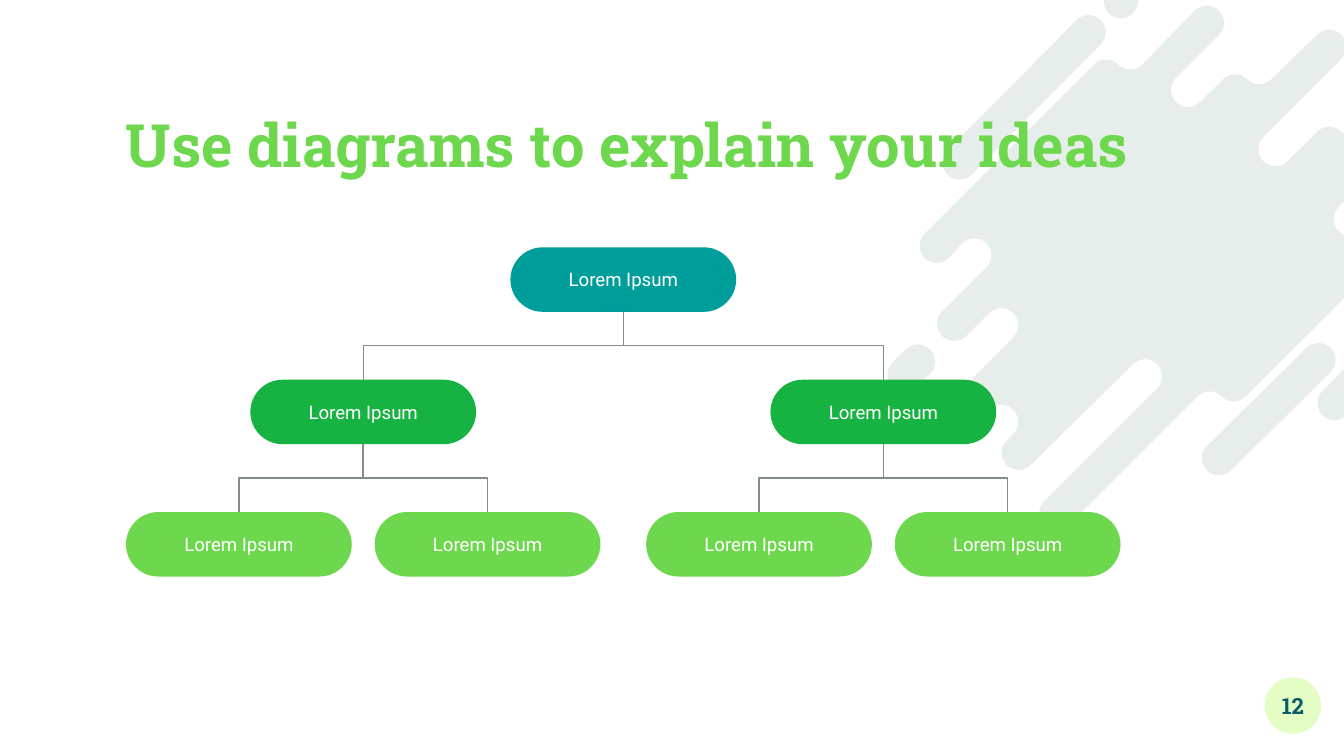
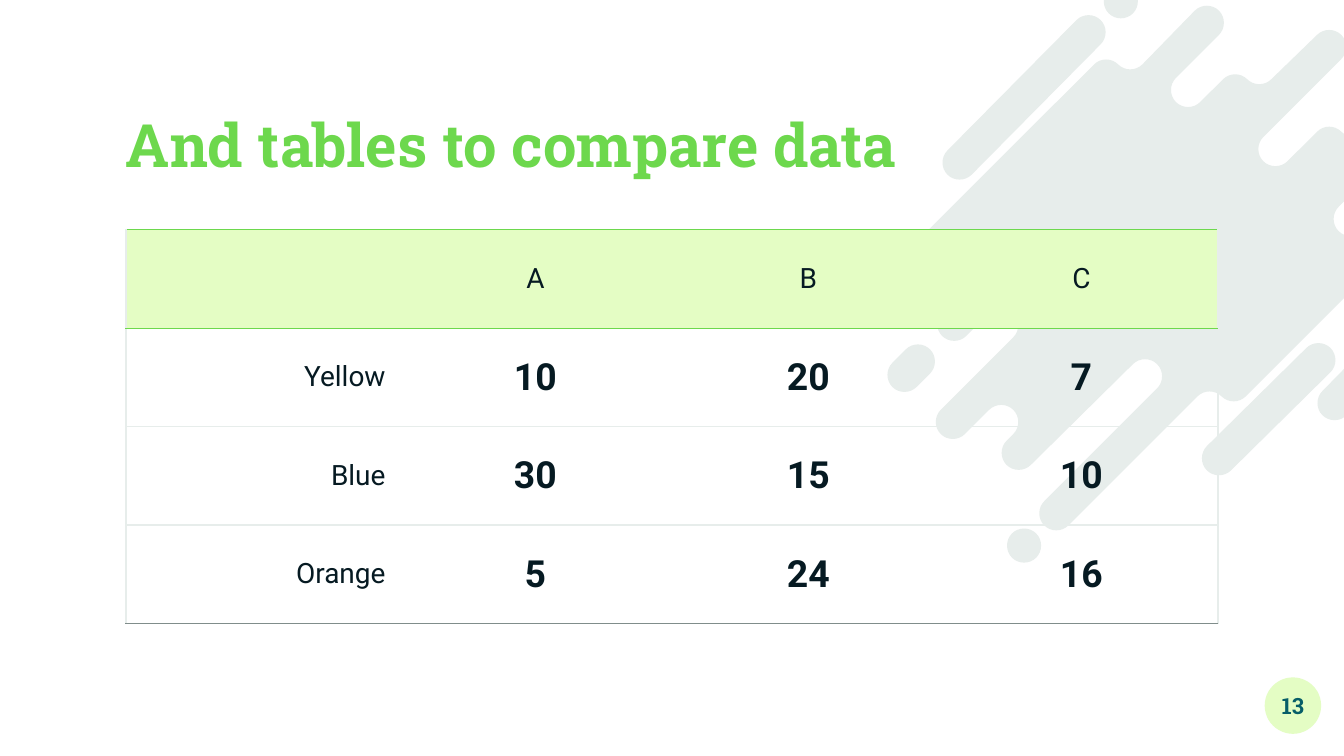
from math import cos, radians, sin

from lxml.etree import SubElement
from pptx import Presentation
from pptx.dml.color import RGBColor
from pptx.enum.shapes import MSO_CONNECTOR, MSO_SHAPE
from pptx.enum.text import MSO_ANCHOR, MSO_AUTO_SIZE, PP_ALIGN
from pptx.oxml import parse_xml
from pptx.oxml.ns import nsdecls, qn
from pptx.util import Inches, Pt

# Shared colours, fonts and grid (inches)
GREEN = RGBColor(0x6D, 0xD8, 0x4D)
DARK_GREEN = RGBColor(0x17, 0xB3, 0x42)
TEAL = RGBColor(0x00, 0x9E, 0x9A)
DEEP_TEAL = RGBColor(0x07, 0x5E, 0x68)
PALE_GREEN = RGBColor(0xE4, 0xFD, 0xC4)
MIST = RGBColor(0xE7, 0xED, 0xEB)
GREY = RGBColor(0x80, 0x8D, 0x8B)
INK = RGBColor(0x06, 0x1A, 0x22)
WHITE = RGBColor(0xFF, 0xFF, 0xFF)
HEADING_FONT, BODY_FONT = "Roboto Slab", "Roboto"
SLIDE_WIDTH, SLIDE_HEIGHT = 10, 5.625
MARGIN = SLIDE_WIDTH * 3 / 32
CONTENT_WIDTH = SLIDE_WIDTH * 13 / 16

# Splash outline: each (x, y, turns) is a straight run to a point, followed by
# quarter turns to the right (R) or left (L)
CAP_RADIUS = 0.127
UNITS = 1000  # outline units per inch
HANDLE = 0.55 * CAP_RADIUS * UNITS  # Bezier handle of a quarter circle
SPLASH_BODY = [
    (7.16, 1.81, "RR"), (7.01, 2.32, "LL"), (7.36, 2.33, "RR"), (7, 3.05, "LL"),
    (7.36, 3.05, "RR"), (7.49, 3.28, "LL"), (8.43, 2.71, "RR"), (7.77, 3.73, "LL"),
    (8.91, 2.95, "RL"), (10.52, 1.7, "LL"), (10.14, 1.72, "RR"), (10.45, 1.05, "LL"),
    (10.16, 0.98, "RL"), (9.58, 1.2, "RR"), (9.98, 0.44, "LL"), (9.46, 0.59, "RL"),
    (8.93, 0.76, "RR"), (9.07, 0.26, "LL"), (8.5, 0.48, "RL"), (6.88, 1.74, "LL"),
]
# Loose drops: where the lower-left and the upper-right caps begin
SPLASH_DROPS = [
    ((9.84, 2.91), (10.48, 2.62)), ((10.55, 0.59), (10.97, 0.53)),
    ((8.98, 3.32), (9.9, 2.77)), ((7.53, 3.97), (7.71, 4.15)),
    ((10.56, 2.18), (10.74, 2.36)), ((6.64, 2.7), (6.92, 2.78)),
    ((7.05, 1.12), (8.19, 0.33)), ((8.25, -0.08), (8.43, 0.1)),
]
contours = [(-45, SPLASH_BODY)]
contours += [(135, [(*low, "LL"), (*high, "LL")]) for low, high in SPLASH_DROPS]

splash_points = []
segment_headings = []  # headings at both ends of an arc, None for a straight run
for heading, runs in contours:
    points = []
    for x, y, turns in runs:
        if points:
            segment_headings.append(None)
        points.append((x * UNITS, y * UNITS))
        for turn in turns:
            next_heading = heading + (90 if turn == "R" else -90)
            start, end = radians(heading), radians(next_heading)
            x += CAP_RADIUS * (cos(start) + cos(end))
            y += CAP_RADIUS * (sin(start) + sin(end))
            points.append((x * UNITS, y * UNITS))
            segment_headings.append((start, end))
            heading = next_heading
    splash_points.append(points)


def format_text(text_frame, size, color, font=BODY_FONT, bold=False, align=PP_ALIGN.CENTER):
    for paragraph in text_frame.paragraphs:
        paragraph.alignment = align
        for run in paragraph.runs:
            run.font.name, run.font.size, run.font.bold = font, Pt(size), bold
            run.font.color.rgb = color


def add_filled_shape(slide, kind, left, top, width, height, color, text):
    shape = slide.shapes.add_shape(kind, Inches(left), Inches(top), Inches(width), Inches(height))
    shape.shadow.inherit = False
    shape.fill.solid()
    shape.fill.fore_color.rgb = color
    shape.line.fill.background()
    shape.text_frame.text = text
    shape.text_frame.vertical_anchor = MSO_ANCHOR.MIDDLE
    return shape


presentation = Presentation()
presentation.slide_width, presentation.slide_height = Inches(SLIDE_WIDTH), Inches(SLIDE_HEIGHT)

# Both slides: splash, title and page number
slides = []
for number, heading_text in [(12, "Use diagrams to explain your ideas"), (13, "And tables to compare data")]:
    slide = presentation.slides.add_slide(presentation.slide_layouts[5])
    slides.append(slide)

    builder = slide.shapes.build_freeform(*splash_points[0][0], scale=Inches(1) / UNITS)
    for index, points in enumerate(splash_points):
        if index:
            builder.move_to(*points[0])
        builder.add_line_segments(points[1:], close=True)
    splash = builder.convert_to_shape()
    splash.shadow.inherit = False
    splash.fill.solid()
    splash.fill.fore_color.rgb = MIST
    splash.line.fill.background()
    slide.shapes._spTree.insert(2, splash._element)

    # Round the caps: every quarter turn becomes a Bezier curve
    for segment, headings in zip(list(splash._element.iter(qn("a:lnTo"))), segment_headings):
        if headings is None:
            continue
        previous = segment.getprevious()[-1]
        target = segment[-1]
        curve = parse_xml(f'<a:cubicBezTo {nsdecls("a")}/>')
        for anchor, direction, reach in [(previous, headings[0], HANDLE), (target, headings[1], -HANDLE)]:
            SubElement(curve, qn("a:pt"), {
                "x": str(round(int(anchor.get("x")) + reach * cos(direction))),
                "y": str(round(int(anchor.get("y")) + reach * sin(direction)))})
        curve.append(target)
        segment.getparent().replace(segment, curve)

    title = slide.shapes.title
    title.left, title.top = Inches(MARGIN), Inches(0.91)
    title.width, title.height = Inches(CONTENT_WIDTH), Inches(0.43)
    frame = title.text_frame
    frame.text = heading_text
    frame.word_wrap, frame.auto_size = True, MSO_AUTO_SIZE.NONE
    frame.vertical_anchor = MSO_ANCHOR.BOTTOM
    frame.margin_left = frame.margin_right = frame.margin_top = frame.margin_bottom = 0
    frame.paragraphs[0].line_spacing = 0.9
    format_text(frame, 32, GREEN, HEADING_FONT, True, PP_ALIGN.LEFT)

    badge = add_filled_shape(slide, MSO_SHAPE.OVAL, 9.41, 5.04, 0.42, 0.42, PALE_GREEN, str(number))
    frame = badge.text_frame
    frame.word_wrap = False
    frame.margin_left = frame.margin_right = frame.margin_top = frame.margin_bottom = 0
    format_text(frame, 12, DEEP_TEAL, HEADING_FONT, True)

diagram_slide, table_slide = slides

# Organisation tree: every parent is centred over its two children
NODE_WIDTH, NODE_HEIGHT = 1.68, 0.48
TREE_TOP, LEAF_TOP = 1.84, 3.81
LEVEL_STEP = (LEAF_TOP - TREE_TOP) / 2
BRANCH_STEP, LEAF_STEP = 3.87, 1.85
leaf_lefts = [MARGIN + branch * BRANCH_STEP + leaf * LEAF_STEP for branch in range(2) for leaf in range(2)]
branch_lefts = [sum(leaf_lefts[:2]) / 2, sum(leaf_lefts[2:]) / 2]
levels = [([sum(branch_lefts) / 2], TEAL), (branch_lefts, DARK_GREEN), (leaf_lefts, GREEN)]

parents = []
for level, (lefts, color) in enumerate(levels):
    top = TREE_TOP + level * LEVEL_STEP
    nodes = []
    for index, left in enumerate(lefts):
        node = add_filled_shape(diagram_slide, MSO_SHAPE.ROUNDED_RECTANGLE, left, top,
                                NODE_WIDTH, NODE_HEIGHT, color, "Lorem Ipsum")
        node.adjustments[0] = 0.5
        format_text(node.text_frame, 10, WHITE)
        nodes.append(node)
        if not parents:
            continue

        # Elbow turned upright, so that it leaves the parent downwards
        parent = parents[index // 2]
        is_right = index % 2 == 1
        connector = diagram_slide.shapes.add_connector(MSO_CONNECTOR.ELBOW, 0, 0, 0, 0)
        if is_right:
            connector.begin_connect(parent, 2)
            connector.end_connect(node, 0)
        else:
            connector.begin_connect(node, 0)
            connector.end_connect(parent, 2)
        span = abs(node.left - parent.left)
        drop = node.top - parent.top - parent.height
        center_x = (node.left + parent.left + node.width) // 2
        center_y = node.top - drop // 2
        connector.width, connector.height = drop, span
        connector.left, connector.top = center_x - drop // 2, center_y - span // 2
        properties = connector._element.spPr
        transform = properties.find(qn("a:xfrm"))
        for name, value in [("rot", "16200000"), ("flipH", str(int(is_right))), ("flipV", "0")]:
            transform.set(name, value)
        connector.line.color.rgb = GREY
        connector.line.width = Pt(0.75)
        SubElement(properties, qn("a:effectLst"))
    parents = nodes

# Comparison table
ROWS = [
    ["", "A", "B", "C"],
    ["Yellow", "10", "20", "7"],
    ["Blue", "30", "15", "10"],
    ["Orange", "5", "24", "16"],
]
TABLE_HEIGHT = 2.93
RULES = [GREEN, GREEN, MIST, MIST, GREY]
last = len(ROWS[0]) - 1
table = table_slide.shapes.add_table(
    len(ROWS), len(ROWS[0]), Inches(MARGIN), Inches(1.71),
    Inches(CONTENT_WIDTH), Inches(TABLE_HEIGHT)).table
table.first_row = table.horz_banding = False
# Style without fills or grid
table._tbl.tblPr.find(qn("a:tableStyleId")).text = "{2D5ABB26-0587-4C30-8999-92F81FD0307C}"

for row_index, values in enumerate(ROWS):
    for column_index, value in enumerate(values):
        cell = table.cell(row_index, column_index)
        cell.text_frame.text = value
        cell.vertical_anchor = MSO_ANCHOR.MIDDLE
        cell.margin_left = cell.margin_right = Inches(0.1)
        cell.margin_top = cell.margin_bottom = Inches(0.07)
        is_value = row_index > 0 and column_index > 0
        align = PP_ALIGN.CENTER if column_index else PP_ALIGN.RIGHT
        format_text(cell.text_frame, 20 if is_value else 15, INK, bold=is_value, align=align)
        if row_index == 0:
            cell.fill.solid()
            cell.fill.fore_color.rgb = PALE_GREEN
        else:
            cell.fill.background()

        # Rules between rows, and a faint frame at both sides
        borders = {
            "lnL": MIST if column_index == 0 else None,
            "lnR": MIST if column_index == last else None,
            "lnT": RULES[row_index],
            "lnB": RULES[row_index + 1],
        }
        for position, (tag, color) in enumerate(borders.items()):
            paint = f'<a:solidFill><a:srgbClr val="{color}"/></a:solidFill>' if color else "<a:noFill/>"
            border = parse_xml(f'<a:{tag} {nsdecls("a")} w="9525">{paint}</a:{tag}>')
            cell._tc.get_or_add_tcPr().insert(position, border)

presentation.save("out.pptx")
